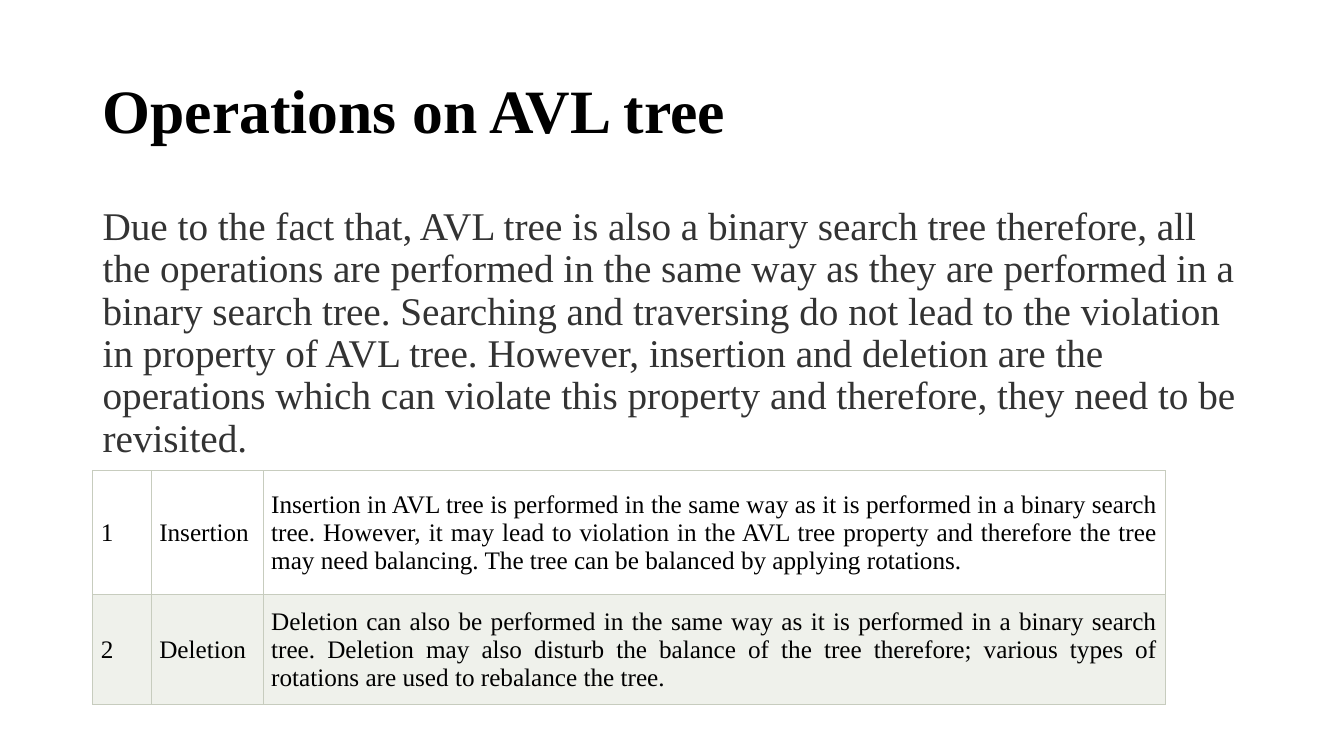
import pptx
import pptx.util
import pptx.dml.color
import pptx.enum.text
import pptx.oxml
import pptx.oxml.ns

Inches = pptx.util.Inches
Pt = pptx.util.Pt
ALIGN = pptx.enum.text.PP_ALIGN
ANCHOR = pptx.enum.text.MSO_ANCHOR

theme = {
    "font": "Times New Roman",
    "title": (44, "000000", True),
    "body": (28, "333333", False),
    "cell": (18, "000000", False),
    "bands": ("FFFFFF", "EFF1EB"),
    "border": "C7CCBE",
}


def style(para, role):
    size, color, bold = theme[role]
    for run in para.runs:
        run.font.name = theme["font"]
        run.font.size = Pt(size)
        run.font.bold = bold
        run.font.color.rgb = pptx.dml.color.RGBColor.from_string(color)


def edge(cell):
    props = cell._tc.get_or_add_tcPr()
    for place, side in enumerate(("lnL", "lnR", "lnT", "lnB")):
        line = pptx.oxml.parse_xml(
            f'<a:{side} {pptx.oxml.ns.nsdecls("a")} w="{Pt(0.75)}"><a:solidFill>'
            f'<a:srgbClr val="{theme["border"]}"/></a:solidFill></a:{side}>'
        )
        props.insert(place, line)


deck = pptx.Presentation()
deck.slide_width = Inches(13.33)
deck.slide_height = Inches(7.5)
slide = deck.slides.add_slide(deck.slide_layouts[6])

texts = [
    ("title", 0.4, 1.45, ANCHOR.MIDDLE, "Operations on AVL tree"),
    ("body", 2, 4.76, ANCHOR.TOP,
     "Due to the fact that, AVL tree is also a binary search tree therefore, all the "
     "operations are performed in the same way as they are performed in a binary search "
     "tree. Searching and traversing do not lead to the violation in property of AVL tree. "
     "However, insertion and deletion are the operations which can violate this property "
     "and therefore, they need to be revisited."),
]
for role, top, height, anchor, words in texts:
    box = slide.shapes.add_textbox(Inches(0.92), Inches(top), Inches(11.5), Inches(height))
    frame = box.text_frame
    frame.word_wrap = True
    frame.vertical_anchor = anchor
    frame.text = words
    para = frame.paragraphs[0]
    para.line_spacing = 0.9
    style(para, role)

rows = [
    ("1", "Insertion",
     "Insertion in AVL tree is performed in the same way as it is performed in a binary "
     "search tree. However, it may lead to violation in the AVL tree property and therefore "
     "the tree may need balancing. The tree can be balanced by applying rotations."),
    ("2", "Deletion",
     "Deletion can also be performed in the same way as it is performed in a binary search "
     "tree. Deletion may also disturb the balance of the tree therefore; various types of "
     "rotations are used to rebalance the tree."),
]
widths = (0.58, 1.11, 8.95)
heights = (1.23, 1.09)
table = slide.shapes.add_table(
    len(rows), len(widths), Inches(0.92), Inches(4.67),
    Inches(sum(widths)), Inches(sum(heights)),
).table
table.first_row = False
table.horz_banding = False
for col, width in zip(table.columns, widths):
    col.width = Inches(width)

for row, height, words, band in zip(table.rows, heights, rows, theme["bands"]):
    row.height = Inches(height)
    for cell, word in zip(row.cells, words):
        cell.text = word
        cell.vertical_anchor = ANCHOR.MIDDLE
        cell.margin_left = cell.margin_right = Inches(0.08)
        cell.margin_top = cell.margin_bottom = Inches(0.08)
        cell.fill.solid()
        cell.fill.fore_color.rgb = pptx.dml.color.RGBColor.from_string(band)
        para = cell.text_frame.paragraphs[0]
        para.alignment = ALIGN.JUSTIFY
        style(para, "cell")
        edge(cell)

deck.save("out.pptx")
